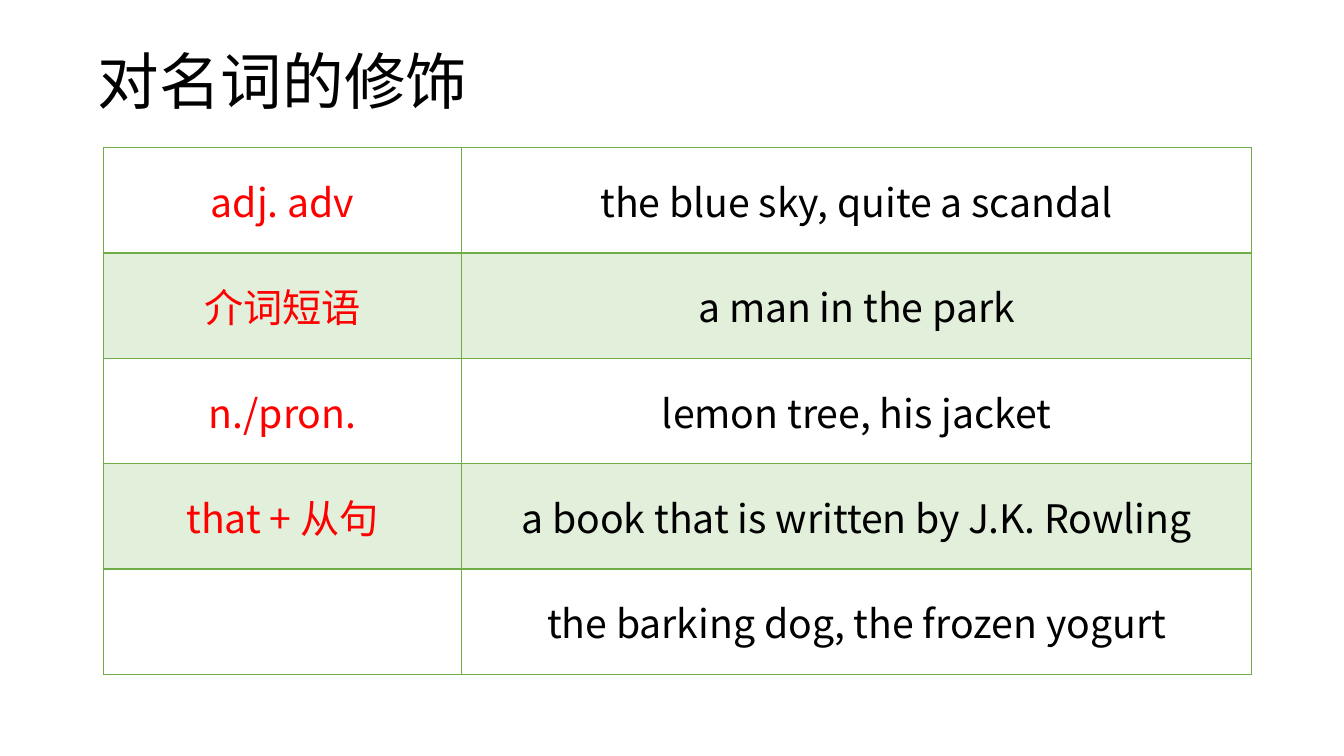
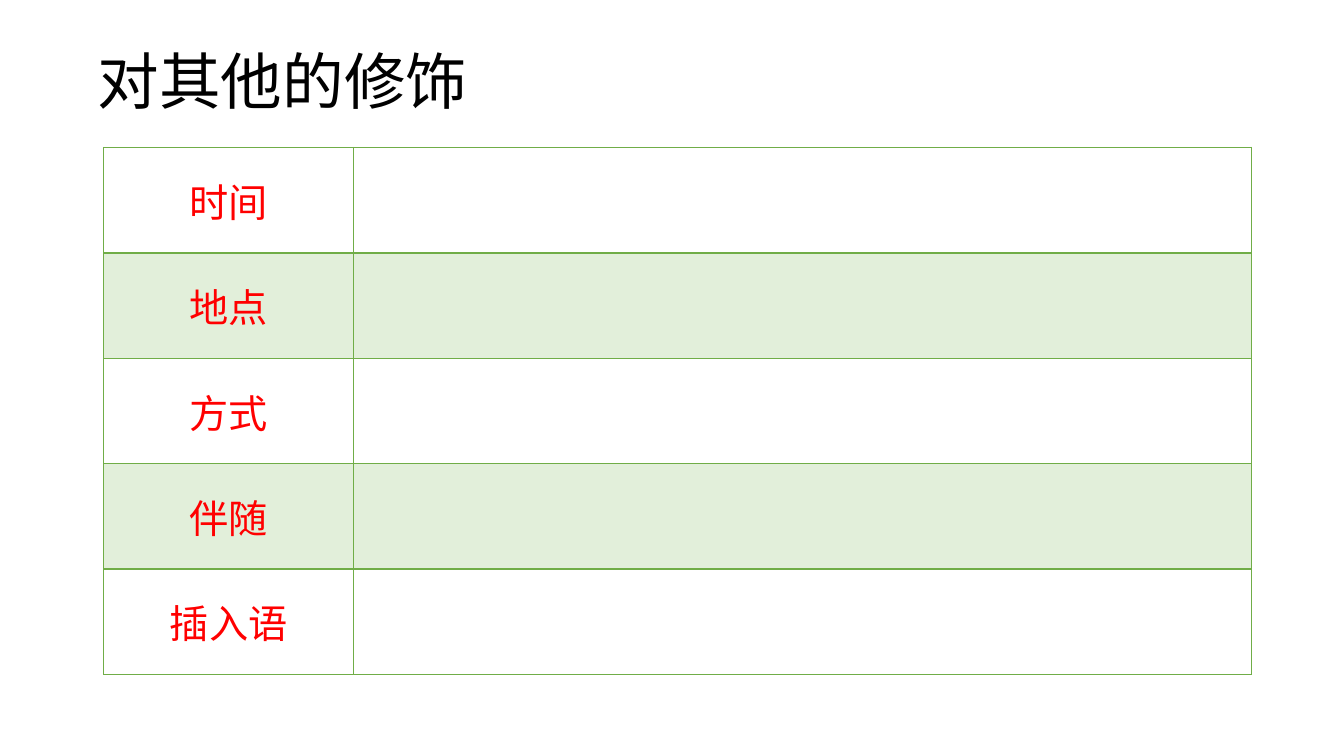
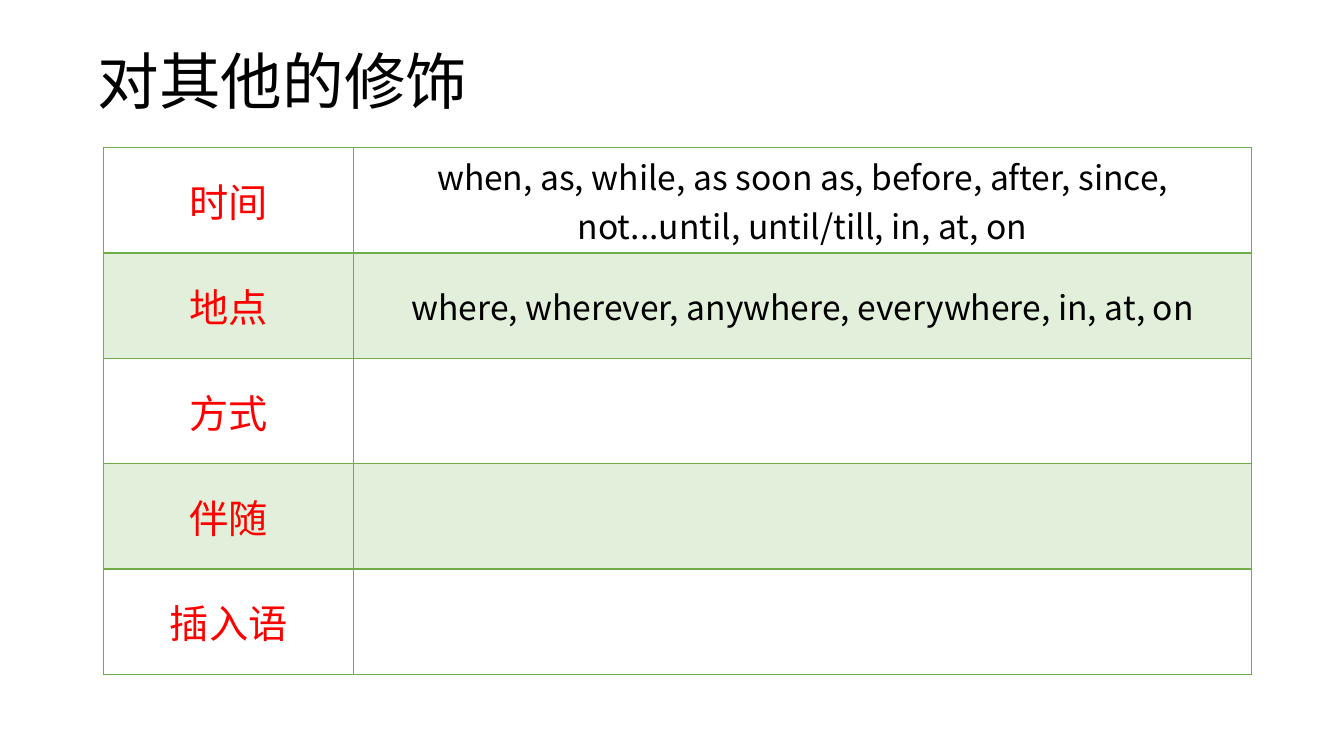
from lxml import etree
from pptx import Presentation
from pptx.dml.color import RGBColor
from pptx.enum.text import MSO_ANCHOR, PP_ALIGN
from pptx.oxml.ns import qn
from pptx.util import Pt

MIDDLE = MSO_ANCHOR.MIDDLE
CENTER = PP_ALIGN.CENTER

FONT = "Noto Sans CJK SC"
BLACK = RGBColor(0x00, 0x00, 0x00)
RED = RGBColor(0xFF, 0x00, 0x00)
GREEN = RGBColor(0x70, 0xAD, 0x47)
PALE_GREEN = RGBColor(0xE2, 0xEF, 0xDA)

TABLE_LEFT, TABLE_TOP, TABLE_WIDTH = 74, 105.3, 820
ROW_HEIGHT = 75.3

NOUN_MODIFIERS = [
    ("adj. adv", "the blue sky, quite a scandal"),
    ("介词短语", "a man in the park"),
    ("n./pron.", "lemon tree, his jacket"),
    ("that + 从句", "a book that is written by J.K. Rowling"),
    ("", "the barking dog, the frozen yogurt"),
]
OTHER_MODIFIERS = ["时间", "地点", "方式", "伴随", "插入语"]
OTHER_EXAMPLES = [
    "when, as, while, as soon as, before, after, since, "
    "not...until, until/till, in, at, on",
    "where, wherever, anywhere, everywhere, in, at, on",
    "", "", "",
]


def style_paragraph(paragraph, size, color):
    """Set size, colour and the typeface for Latin and Chinese text."""
    font = paragraph.font
    font.size = Pt(size)
    font.color.rgb = color
    font.name = FONT
    properties = paragraph._p.pPr.find(qn("a:defRPr"))
    etree.SubElement(properties, qn("a:ea"), typeface=FONT)


def set_insets(holder, inset):
    holder.margin_left = holder.margin_right = Pt(inset)
    holder.margin_top = holder.margin_bottom = Pt(inset)


def add_title(slide, text):
    frame = slide.shapes.add_textbox(Pt(66.2), Pt(28.8), Pt(828), Pt(62.6)).text_frame
    frame.word_wrap = True
    frame.vertical_anchor = MIDDLE
    set_insets(frame, 3.6)
    title = frame.paragraphs[0]
    title.text = text
    title.line_spacing = 0.9
    style_paragraph(title, 44, BLACK)


def set_borders(cell, top, bottom):
    """Draw green borders; the widths of the sides are 1 pt."""
    properties = cell._tc.get_or_add_tcPr()
    for side, width in (("L", 1), ("R", 1), ("T", top), ("B", bottom)):
        line = etree.SubElement(properties, qn(f"a:ln{side}"), w=str(Pt(width)))
        fill = etree.SubElement(line, qn("a:solidFill"))
        etree.SubElement(fill, qn("a:srgbClr"), val=str(GREEN))


def fill_cell(cell, text, size, color, row):
    set_borders(cell, 2 if row == 1 else 1, 2 if row == 0 else 1)
    if row % 2:
        cell.fill.solid()
        cell.fill.fore_color.rgb = PALE_GREEN
    else:
        cell.fill.background()
    cell.vertical_anchor = MIDDLE
    set_insets(cell, 0)
    paragraph = cell.text_frame.paragraphs[0]
    paragraph.text = text
    paragraph.alignment = CENTER
    style_paragraph(paragraph, size, color)


def add_modifier_table(slide, rows, label_width, example_size):
    table = slide.shapes.add_table(
        len(rows), 2, Pt(TABLE_LEFT), Pt(TABLE_TOP),
        Pt(TABLE_WIDTH), Pt(ROW_HEIGHT * len(rows))).table
    table.first_row = table.horz_banding = False
    table.columns[0].width = Pt(label_width)
    table.columns[1].width = Pt(TABLE_WIDTH - label_width)
    for row, (label, example) in enumerate(rows):
        table.rows[row].height = Pt(ROW_HEIGHT)
        fill_cell(table.cell(row, 0), label, 28, RED, row)
        fill_cell(table.cell(row, 1), example, example_size, BLACK, row)


def add_modifier_slide(deck, title, rows, label_width, example_size):
    slide = deck.slides.add_slide(deck.slide_layouts[6])
    add_title(slide, title)
    add_modifier_table(slide, rows, label_width, example_size)


def main():
    deck = Presentation()
    deck.slide_width, deck.slide_height = Pt(960), Pt(540)
    add_modifier_slide(deck, "对名词的修饰", NOUN_MODIFIERS, 255.6, 28)
    for examples in ([""] * len(OTHER_MODIFIERS), OTHER_EXAMPLES):
        rows = list(zip(OTHER_MODIFIERS, examples))
        add_modifier_slide(deck, "对其他的修饰", rows, 178.6, 24)
    deck.save("out.pptx")


if __name__ == "__main__":
    main()
